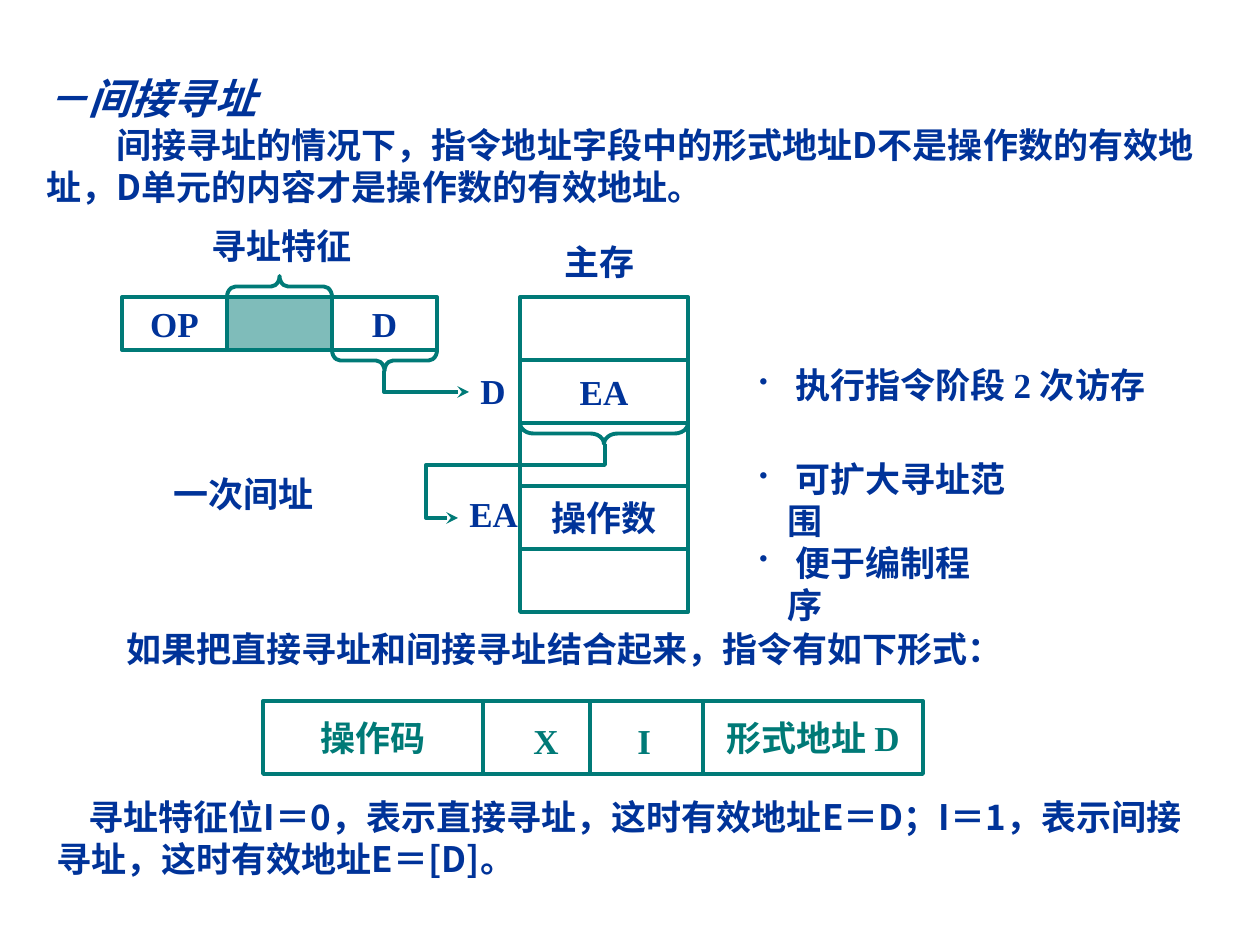
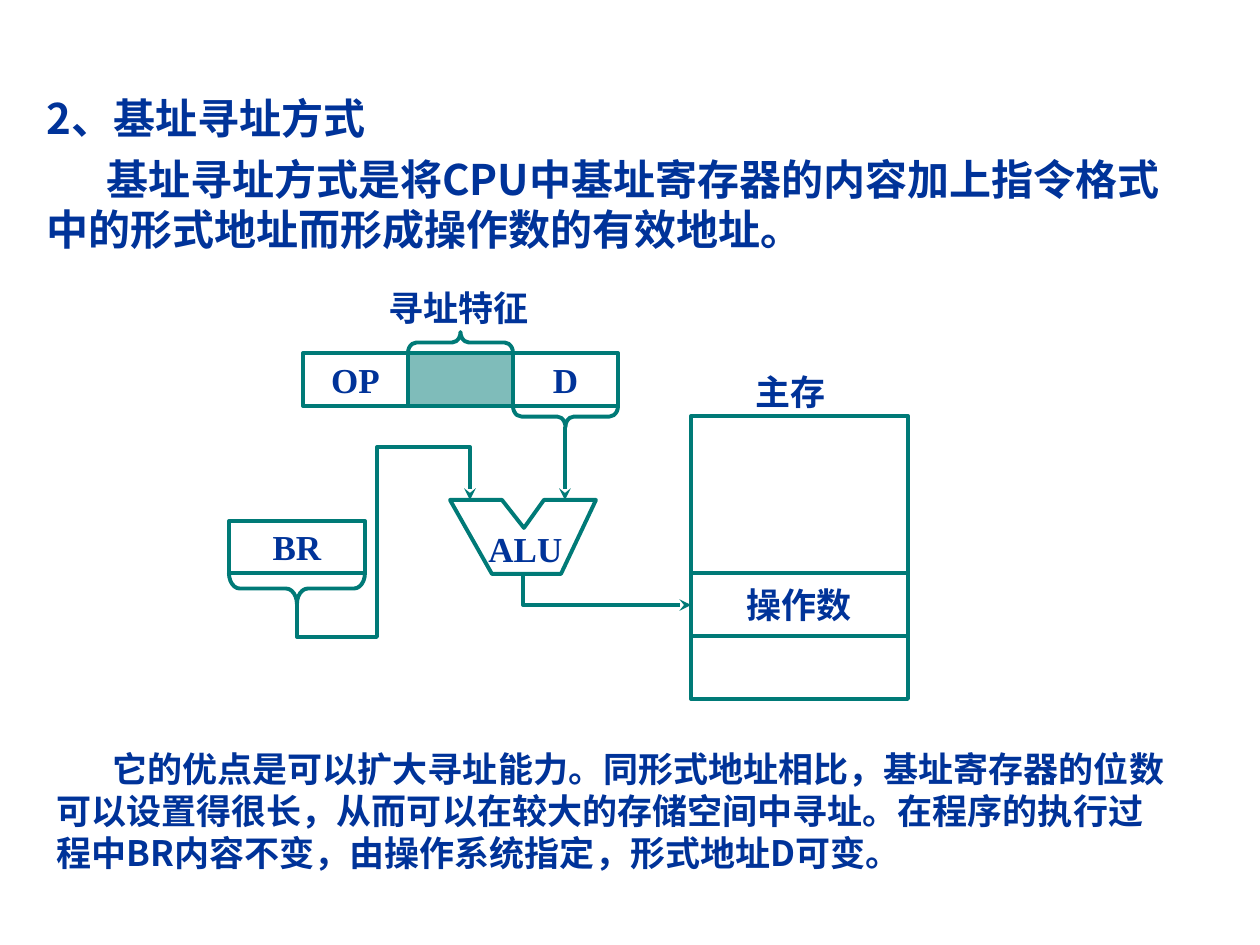
from dataclasses import dataclass

import lxml.etree
import pptx
import pptx.dml.color
import pptx.enum.shapes
import pptx.enum.text
import pptx.oxml.ns
import pptx.util

qn = pptx.oxml.ns.qn
SHAPES = pptx.enum.shapes.MSO_SHAPE
ALIGN = pptx.enum.text.PP_ALIGN
ANCHOR = pptx.enum.text.MSO_ANCHOR
SCALE = 914400 / 126  # EMU in one px


@dataclass(frozen=True)
class Theme:
    ink: pptx.dml.color.RGBColor = pptx.dml.color.RGBColor(0x00, 0x33, 0x99)
    teal: pptx.dml.color.RGBColor = pptx.dml.color.RGBColor(0x00, 0x7A, 0x77)
    heading: int = 24
    body: int = 20
    stroke: float = 2.25
    cjk: str = "Noto Sans CJK SC"
    sans: str = "Arial"
    serif: str = "Times New Roman"


theme = Theme()


def write(shape, text, *, font=theme.serif, size=theme.body, color=theme.ink, italic=False,
          align=ALIGN.LEFT, anchor=ANCHOR.TOP, indent=0, bullet=False):
    """Fill a shape with one bold paragraph; indent is the first-line offset in px."""
    frame = shape.text_frame
    frame.word_wrap = True
    frame.auto_size = pptx.enum.text.MSO_AUTO_SIZE.NONE
    frame.vertical_anchor = anchor
    paragraph = frame.paragraphs[0]
    paragraph.alignment = align
    properties = paragraph._p.get_or_add_pPr()
    properties.set("marL", str(int(max(-indent, 0) * SCALE)))
    properties.set("indent", str(int(indent * SCALE)))
    if bullet:
        tint = lxml.etree.SubElement(properties, qn("a:buClr"))
        lxml.etree.SubElement(tint, qn("a:srgbClr"), val=str(color))
        lxml.etree.SubElement(properties, qn("a:buSzPct"), val="70000")
        lxml.etree.SubElement(properties, qn("a:buChar"), char="•")
    run = paragraph.add_run()
    run.text = text
    run.font.name = font
    run.font.size = pptx.util.Pt(size)
    run.font.bold = True
    run.font.italic = italic
    run.font.color.rgb = color
    lxml.etree.SubElement(run._r.get_or_add_rPr(), qn("a:ea"), typeface=theme.cjk)


def outline(shape, *, width=theme.stroke, arrow=False):
    """Give a shape or connector the teal stroke, with an optional arrowhead at its end."""
    shape.line.color.rgb = theme.teal
    shape.line.width = pptx.util.Pt(width)
    if arrow:
        lxml.etree.SubElement(shape.line._get_or_add_ln(), qn("a:tailEnd"), type="stealth")
    if hasattr(shape, "fill"):
        shape.fill.background()
        shape.shadow.inherit = False
    else:
        lxml.etree.SubElement(shape.element.spPr, qn("a:effectLst"))


# Boxes are (left, top, width, height); braces are (left, edge, width, depth, direction).
pages = [
    {
        "title": ("－间接寻址", (34, 66, 1177, 57), dict(font=theme.sans, italic=True)),
        "texts": [
            ("间接寻址的情况下，指令地址字段中的形式地址D不是操作数的有效地址，D单元的内容才是操作数的有效地址。",
             (34, 117, 1177, 97), dict(font=theme.cjk, indent=70)),
            ("如果把直接寻址和间接寻址结合起来，指令有如下形式：",
             (44, 621, 1171, 55), dict(font=theme.cjk, indent=70)),
            ("寻址特征位I＝0，表示直接寻址，这时有效地址E＝D；I＝1，表示间接寻址，这时有效地址E＝[D]。",
             (44, 789, 1171, 97), dict(font=theme.cjk, indent=32)),
            ("寻址特征", (199, 218, 183, 55), {}),
            ("主存", (552, 234, 110, 54), {}),
            ("D", (468, 363, 52, 54), {}),
            ("EA", (457, 486, 78, 54), {}),
            ("一次间址", (161, 466, 180, 54), {}),
            ("X", (521, 713, 60, 55), dict(color=theme.teal)),
            ("I", (625, 713, 50, 55), dict(color=theme.teal)),
            (" 执行指令阶段 2 次访存", (747, 357, 418, 54), dict(indent=-28, bullet=True)),
            (" 可扩大寻址范围", (747, 451, 301, 54), dict(indent=-28, bullet=True)),
            (" 便于编制程序", (747, 535, 265, 54), dict(indent=-28, bullet=True)),
        ],
        "instruction": (122, 297),
        "cells": [
            *[(text, (520, 297 + 63 * i, 168, 63), theme.ink)
              for i, text in enumerate(["", "EA", "", "操作数", ""])],
            *[(text, (263 + 220 * i, 701, 220, 73), theme.teal)
              for i, text in enumerate(["操作码", "", "形式地址 D"])],
        ],
        "braces": [(520, 423, 168, 21, "down")],
        "routes": [
            [(384, 371), (384, 392), (469, 392)],
            [(605, 444), (605, 465), (426, 465), (426, 518), (458, 518)],
        ],
        "outlines": [],
        "lines": [((590, 701), (590, 774), dict(width=2))],
    },
    {
        "title": ("2、基址寻址方式", (34, 86, 1177, 62), dict(font=theme.cjk)),
        "texts": [
            ("基址寻址方式是将CPU中基址寄存器的内容加上指令格式中的形式地址而形成操作数的有效地址。",
             (34, 147, 1177, 115), dict(font=theme.cjk, size=theme.heading, indent=60)),
            ("它的优点是可以扩大寻址能力。同形式地址相比，基址寄存器的位数可以设置得很长，从而可以在较大的存储空间中寻址。"
             "在程序的执行过程中BR内容不变，由操作系统指定，形式地址D可变。",
             (44, 741, 1142, 139), dict(font=theme.cjk, indent=56)),
            ("寻址特征", (376, 280, 194, 54), {}),
            ("主存", (743, 364, 110, 54), {}),
            ("ALU", (476, 521, 105, 54), {}),
        ],
        "instruction": (303, 353),
        "cells": [
            ("", (691, 416, 217, 157), theme.ink),
            ("操作数", (691, 573, 217, 63), theme.ink),
            ("", (691, 636, 217, 63), theme.ink),
            ("BR", (229, 521, 136, 52), theme.ink),
        ],
        "braces": [(229, 573, 136, 31, "down")],
        "routes": [
            [(297, 603), (297, 637), (377, 637), (377, 447), (470, 447), (470, 500)],
            [(523, 574), (523, 605), (691, 605)],
        ],
        "outlines": [
            [(450, 500), (502, 500), (524, 528), (544, 500), (596, 500), (561, 574), (492, 574)],
        ],
        "lines": [((565, 427), (565, 500), dict(arrow=True))],
    },
]

FIELD_WIDTH, FIELD_HEIGHT, BRACE_DEPTH = 105, 53, 21

deck = pptx.Presentation()
deck.slide_width = pptx.util.Inches(10)
deck.slide_height = pptx.util.Inches(7.5)

for page in pages:
    slide = deck.slides.add_slide(deck.slide_layouts[5])
    shapes = slide.shapes

    heading, box, style = page["title"]
    title = shapes.title
    title.left, title.top, title.width, title.height = [int(v * SCALE) for v in box]
    write(title, heading, size=theme.heading, **style)

    for text, box, style in page["texts"]:
        write(shapes.add_textbox(*[int(v * SCALE) for v in box]), text, **style)

    # The OP / addressing mode / D instruction word, with a brace on its last two fields
    left, top = page["instruction"]
    op, mode, address = [(left + FIELD_WIDTH * i, top, FIELD_WIDTH, FIELD_HEIGHT)
                         for i in range(3)]
    fields = [("OP", op, theme.ink), ("", mode, theme.ink), ("D", address, theme.ink)]
    field_braces = [(mode[0], top, FIELD_WIDTH, BRACE_DEPTH, "up"),
                    (address[0], top + FIELD_HEIGHT, FIELD_WIDTH, BRACE_DEPTH, "down")]

    for text, box, color in fields + page["cells"]:
        cell = shapes.add_shape(SHAPES.RECTANGLE, *[int(v * SCALE) for v in box])
        outline(cell)
        if box == mode:
            cell.fill.solid()
            cell.fill.fore_color.rgb = theme.teal
            shade = cell.element.spPr.find(qn("a:solidFill")).find(qn("a:srgbClr"))
            lxml.etree.SubElement(shade, qn("a:alpha"), val="50000")
        if text:
            write(cell, text, color=color, align=ALIGN.CENTER, anchor=ANCHOR.MIDDLE)

    for left, edge, width, depth, direction in field_braces + page["braces"]:
        middle_x = left + width / 2
        middle_y = edge + (depth / 2 if direction == "down" else -depth / 2)
        upright = (middle_x - depth / 2, middle_y - width / 2, depth, width)
        brace = shapes.add_shape(SHAPES.LEFT_BRACE, *[int(v * SCALE) for v in upright])
        brace.rotation = 270 if direction == "down" else 90
        brace.adjustments[0] = 0.08 * width / depth
        outline(brace)

    for points, closed in ([(route, False) for route in page["routes"]]
                           + [(body, True) for body in page["outlines"]]):
        corners = [(int(x * SCALE), int(y * SCALE)) for x, y in points]
        builder = shapes.build_freeform(*corners[0])
        builder.add_line_segments(corners[1:], close=closed)
        outline(builder.convert_to_shape(), arrow=not closed)

    for start, end, style in page["lines"]:
        line = shapes.add_connector(pptx.enum.shapes.MSO_CONNECTOR.STRAIGHT,
                                    *[int(v * SCALE) for v in start + end])
        outline(line, **style)

deck.save("out.pptx")
